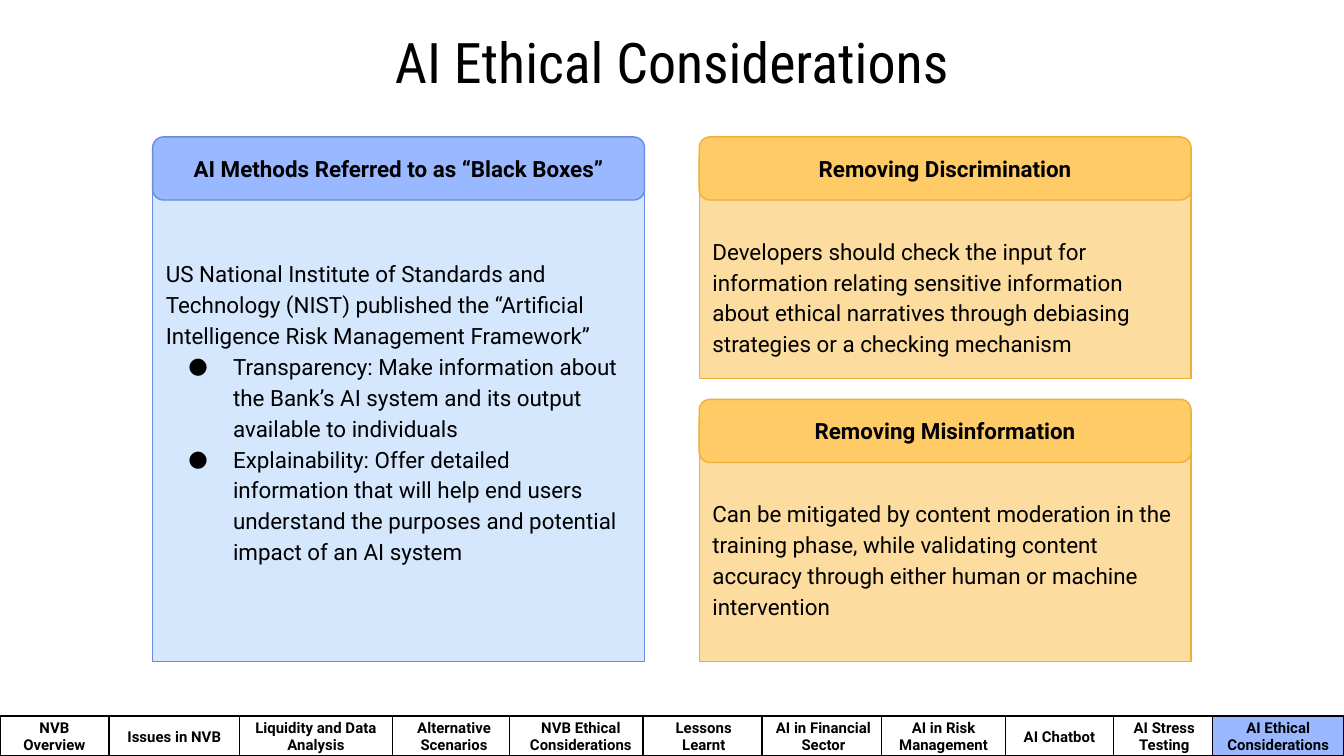
from dataclasses import dataclass

from lxml.etree import SubElement
from pptx import Presentation
from pptx.dml.color import RGBColor
from pptx.enum.shapes import MSO_SHAPE
from pptx.enum.text import MSO_ANCHOR, MSO_AUTO_SIZE, PP_ALIGN
from pptx.oxml.ns import qn
from pptx.util import Pt

COLORS = {
    "black": "000000",
    "white": "FFFFFF",
    "blue": "9AB8FF",
    "blue_pale": "D5E7FD",
    "blue_line": "698CE0",
    "orange": "FFCB67",
    "orange_pale": "FCDC9F",
    "orange_line": "EFAF34",
}
BODY_FONT = "Roboto"
INSET = 7.2
CARD_WIDTH = 263.5
HEADER_HEIGHT = 33.8
BODY_OFFSET = 12.2  # the header overlaps the top of the body
NAVIGATION_TOP = 383.6
NAVIGATION_HEIGHT = 21.4


@dataclass
class Card:
    left: float
    top: float
    body_height: float
    color: str
    heading: str
    text: str
    bullets: tuple[str, ...] = ()
    anchor: MSO_ANCHOR = MSO_ANCHOR.TOP
    top_inset: float = 39.6


@dataclass
class Tab:
    label: str
    left: float
    width: float
    fill: str = "white"


CARDS = [
    Card(81.8, 73.4, 268.8, "blue", "AI Methods Referred to as “Black Boxes”",
         "US National Institute of Standards and Technology (NIST) published the "
         "“Artificial Intelligence Risk Management Framework”",
         ("Transparency: Make information about the Bank’s AI system and its output "
          "available to individuals",
          "Explainability: Offer detailed information that will help end users "
          "understand the purposes and potential impact of an AI system"),
         MSO_ANCHOR.MIDDLE, INSET),
    Card(374.6, 73.4, 117.1, "orange", "Removing Discrimination",
         "Developers should check the input for information relating sensitive "
         "information about ethical narratives through debiasing strategies or a "
         "checking mechanism"),
    Card(374.6, 214, 128.2, "orange", "Removing Misinformation",
         "Can be mitigated by content moderation in the training phase, while "
         "validating content accuracy through either human or machine intervention"),
]

TABS = [
    Tab("NVB Overview", 0, 58.3),
    Tab("Issues in NVB", 58.3, 70.2),
    Tab("Liquidity and Data Analysis", 128.3, 82),
    Tab("Alternative Scenarios", 210.2, 66.2),
    Tab("NVB Ethical Considerations", 273.1, 76.3),
    Tab("Lessons Learnt", 344.4, 65.3),
    Tab("AI in Financial Sector", 408.2, 66),
    Tab("AI in Risk Management", 472.4, 66.2),
    Tab("AI Chatbot", 538.5, 58.2),
    Tab("AI Stress Testing", 596.4, 54.7),
    Tab("AI Ethical Considerations", 649.6, 70.4, "blue"),
]


def rgb(name: str) -> RGBColor:
    return RGBColor.from_string(COLORS[name])


def style_font(font, size: float, name: str = BODY_FONT, bold: bool = False) -> None:
    font.name = name
    font.size = Pt(size)
    font.bold = bold
    font.color.rgb = rgb("black")


def set_frame(text_frame, anchor: MSO_ANCHOR, top_inset: float = INSET) -> None:
    text_frame.word_wrap = True
    text_frame.auto_size = MSO_AUTO_SIZE.NONE
    text_frame.vertical_anchor = anchor
    text_frame.margin_left = text_frame.margin_right = Pt(INSET)
    text_frame.margin_top = Pt(top_inset)
    text_frame.margin_bottom = Pt(INSET)


def add_box(slide, kind: MSO_SHAPE, left: float, top: float, width: float,
            height: float, fill: str, line: str):
    shape = slide.shapes.add_shape(kind, Pt(left), Pt(top), Pt(width), Pt(height))
    shape.shadow.inherit = False
    shape.fill.solid()
    shape.fill.fore_color.rgb = rgb(fill)
    shape.line.color.rgb = rgb(line)
    shape.line.width = Pt(0.75)
    return shape


def add_label(shape, text: str, size: float) -> None:
    set_frame(shape.text_frame, MSO_ANCHOR.MIDDLE)
    paragraph = shape.text_frame.paragraphs[0]
    paragraph.text = text
    paragraph.alignment = PP_ALIGN.CENTER
    style_font(paragraph.runs[0].font, size, bold=True)


def add_bullet(paragraph) -> None:
    properties = paragraph._p.get_or_add_pPr()
    properties.set("marL", str(Pt(36)))
    properties.set("indent", str(Pt(-24)))
    color = SubElement(properties, qn("a:buClr"))
    SubElement(color, qn("a:srgbClr"), val=COLORS["black"])
    SubElement(properties, qn("a:buFont"), typeface=BODY_FONT)
    SubElement(properties, qn("a:buChar"), char="●")


def draw_card(slide, card: Card) -> None:
    line = f"{card.color}_line"
    body = add_box(slide, MSO_SHAPE.RECTANGLE, card.left, card.top + BODY_OFFSET,
                   CARD_WIDTH, card.body_height, f"{card.color}_pale", line)
    set_frame(body.text_frame, card.anchor, card.top_inset)
    body.text_frame.text = "\n".join((card.text, *card.bullets))
    for index, paragraph in enumerate(body.text_frame.paragraphs):
        paragraph.alignment = PP_ALIGN.LEFT
        paragraph.line_spacing = 1.15
        if index > 0:
            add_bullet(paragraph)
        style_font(paragraph.runs[0].font, 12)

    header = add_box(slide, MSO_SHAPE.ROUNDED_RECTANGLE, card.left, card.top,
                     CARD_WIDTH, HEADER_HEIGHT, card.color, line)
    header.adjustments[0] = 0.17
    add_label(header, card.heading, 12)


def draw_tab(slide, tab: Tab) -> None:
    shape = add_box(slide, MSO_SHAPE.RECTANGLE, tab.left, NAVIGATION_TOP, tab.width,
                    NAVIGATION_HEIGHT, tab.fill, "black")
    add_label(shape, tab.label, 8)


def draw_title(slide, text: str) -> None:
    title = slide.shapes.title
    title.left, title.top, title.width, title.height = Pt(36), Pt(20.2), Pt(648), Pt(25.2)
    set_frame(title.text_frame, MSO_ANCHOR.MIDDLE)
    title.text_frame.text = text
    paragraph = title.text_frame.paragraphs[0]
    paragraph.alignment = PP_ALIGN.CENTER
    style_font(paragraph.runs[0].font, 30, "Roboto Condensed")


def main() -> None:
    presentation = Presentation()
    presentation.slide_width, presentation.slide_height = Pt(720), Pt(405)
    slide = presentation.slides.add_slide(presentation.slide_layouts[5])

    draw_title(slide, "AI Ethical Considerations")
    # Navigation bar along the bottom
    for tab in TABS:
        draw_tab(slide, tab)
    # Content cards
    for card in CARDS:
        draw_card(slide, card)

    presentation.save("out.pptx")


if __name__ == "__main__":
    main()
